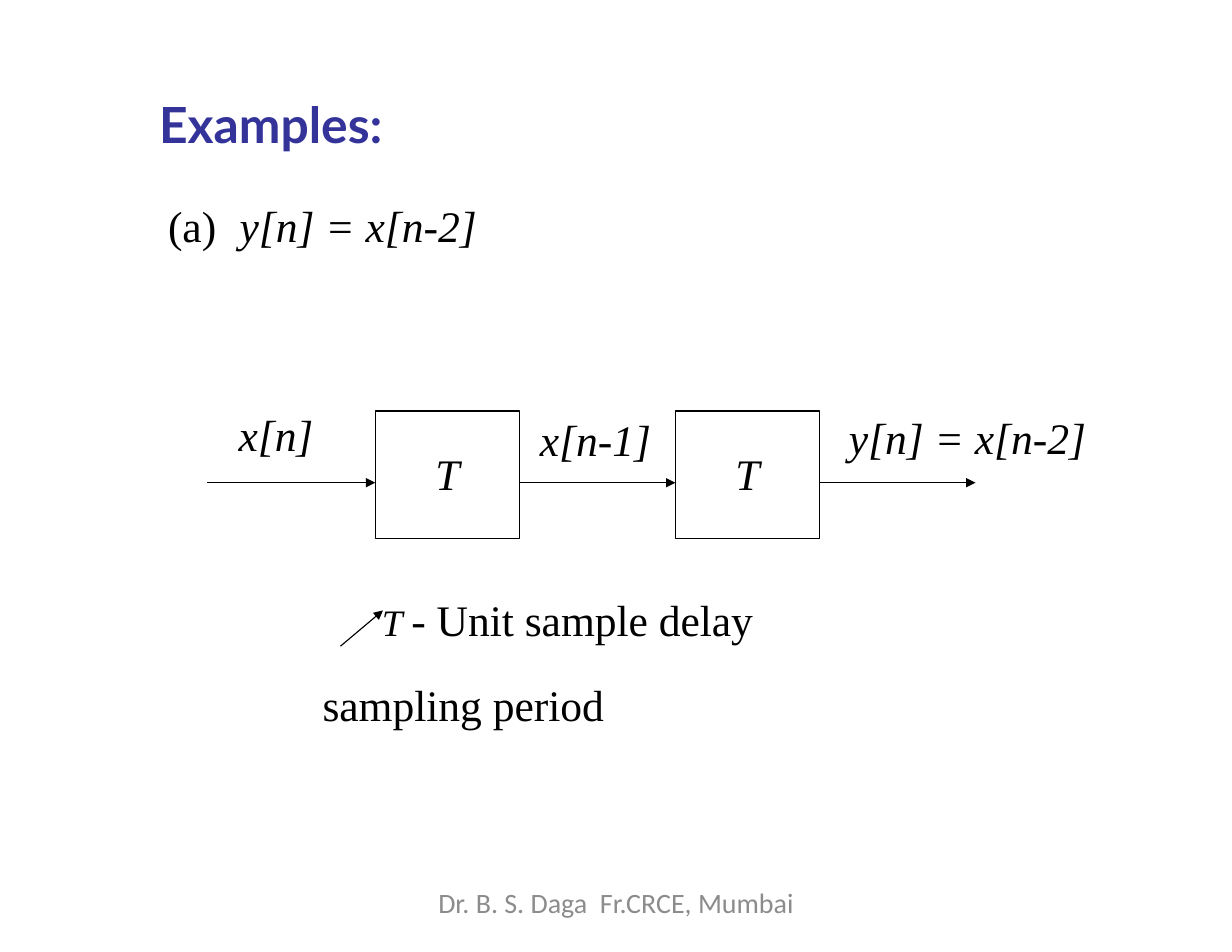
from lxml import etree
from pptx import Presentation
from pptx.dml.color import RGBColor
from pptx.enum.shapes import MSO_CONNECTOR as Connector, MSO_SHAPE as Shape
from pptx.enum.text import PP_ALIGN as Align
from pptx.oxml.ns import qn
from pptx.util import Inches, Pt

BLACK = RGBColor(0, 0, 0)
INDIGO = RGBColor(0x33, 0x33, 0x9A)
GREY = RGBColor(0x8C, 0x8C, 0x8C)

# Formats
BODY = dict(name="Times New Roman", size=Pt(28))
MATH = dict(BODY, italic=True)
TITLE = dict(name="Lato", size=Pt(32), bold=True)
FOOTER = dict(name="Calibri", size=Pt(18))

# Content: signals are (text, left, top, width)
SIGNALS = [
    ("x[n]", 2.13, 3.63, 0.75),
    ("x[n-1]", 4.82, 3.68, 1.05),
    ("y[n] = x[n-2]", 7.58, 3.66, 2.2),
]
EQUATION = [("(a)\t", BODY), ("y[n] = x[n-2]", MATH)]
DELAY_NOTE = [
    [("T ", dict(MATH, size=Pt(24))), ("- Unit sample delay", BODY)],
    [("sampling period", BODY)],
]

# Block diagram
DELAY_LEFTS = [3.35, 6.03]
DELAY_TOP, DELAY_W, DELAY_H = 3.67, 1.29, 1.14
FLOW_Y = 4.31
FLOW_START, FLOW_END = 1.85, 8.71

prs = Presentation()
prs.slide_width, prs.slide_height = Inches(11), Inches(8.5)
slide = prs.slides.add_slide(prs.slide_layouts[6])


def fill_text(shape, lines, color=BLACK, align=Align.LEFT, inset=0.01):
    frame = shape.text_frame
    frame.word_wrap = True
    frame.margin_left = frame.margin_right = frame.margin_bottom = 0
    frame.margin_top = Inches(inset)
    for i, line in enumerate(lines):
        para = frame.add_paragraph() if i else frame.paragraphs[0]
        para.alignment = align
        for text, style in line:
            run = para.add_run()
            run.text = text
            run.font.color.rgb = color
            for key, value in style.items():
                setattr(run.font, key, value)
    return frame.paragraphs


def add_text(box, lines, **options):
    shape = slide.shapes.add_textbox(*map(Inches, box))
    return fill_text(shape, lines, **options)


def add_arrow(*ends):
    arrow = slide.shapes.add_connector(Connector.STRAIGHT, *map(Inches, ends))
    arrow.line.color.rgb = BLACK
    arrow.line.width = Pt(0.75)
    etree.SubElement(arrow.line._get_or_add_ln(), qn("a:tailEnd"), type="triangle")
    etree.SubElement(arrow._element.spPr, qn("a:effectLst"))


# Title and equation
add_text((1.42, 0.83, 2.33, 0.56), [[("Examples:", TITLE)]], color=INDIGO)
equation = add_text((1.5, 1.77, 2.85, 0.5), [EQUATION])[0]
tabs = etree.SubElement(equation._p.get_or_add_pPr(), qn("a:tabLst"))
etree.SubElement(tabs, qn("a:tab"), pos=str(Inches(0.64)), algn="l")

# Delay boxes
for left in DELAY_LEFTS:
    delay = slide.shapes.add_shape(
        Shape.RECTANGLE, *map(Inches, (left, DELAY_TOP, DELAY_W, DELAY_H)))
    delay.shadow.inherit = False
    delay.fill.background()
    delay.line.color.rgb = BLACK
    delay.line.width = Pt(0.75)
    delay.text_frame.vertical_anchor = 1
    fill_text(delay, [[("T", MATH)]], align=Align.CENTER, inset=0.32)

# Signal arrows run from one box edge to the next
starts = [FLOW_START] + [left + DELAY_W for left in DELAY_LEFTS]
for start, end in zip(starts, DELAY_LEFTS + [FLOW_END]):
    add_arrow(start, FLOW_Y, end, FLOW_Y)
for text, left, top, width in SIGNALS:
    add_text((left, top, width, 0.5), [[(text, MATH)]])

# Delay note with its pointer
note = add_text((2.88, 4.72, 3.96, 1.85), DELAY_NOTE, inset=0.28)
for para in note:
    para.line_spacing = Pt(54.6)
note[0]._p.get_or_add_pPr().set("indent", str(Inches(0.53)))
add_arrow(3.04, 5.77, 3.42, 5.45)

# Footer
add_text((3.74, 7.91, 3.52, 0.42), [[("Dr. B. S. Daga  Fr.CRCE, Mumbai", FOOTER)]],
         color=GREY, align=Align.CENTER, inset=0)

prs.save("out.pptx")
